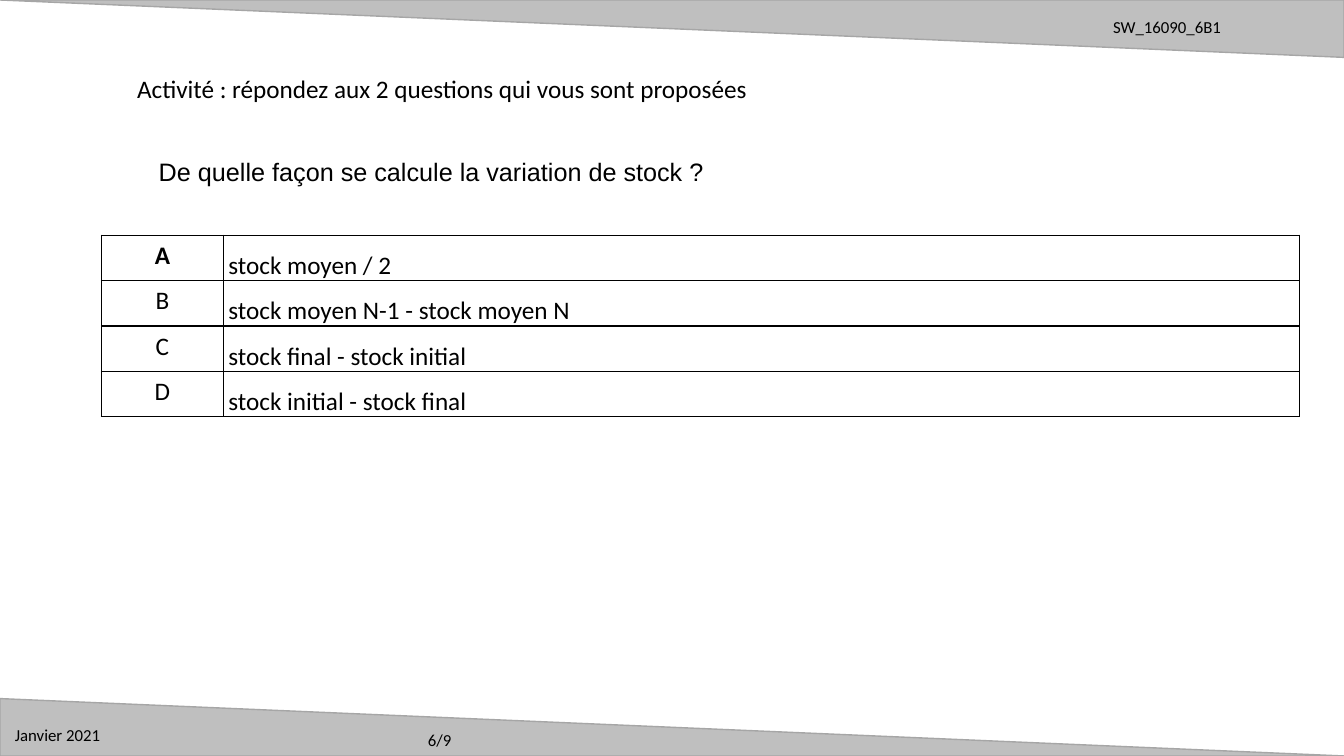
"""Build a quiz slide about stock variation."""
import pptx
import pptx.dml.color
import pptx.enum.shapes
import pptx.enum.text
import pptx.oxml
import pptx.oxml.ns
import pptx.util

Pt = pptx.util.Pt
RGBColor = pptx.dml.color.RGBColor
PP_ALIGN = pptx.enum.text.PP_ALIGN

BLACK = RGBColor(0x00, 0x00, 0x00)
WHITE = RGBColor(0xFF, 0xFF, 0xFF)
BAND_FILL = RGBColor(0xBF, 0xBF, 0xBF)
BAND_LINE = RGBColor(0xA6, 0xA6, 0xA6)

SLIDE_W, SLIDE_H = 960, 540
BAND_H = 41
ROW_H = 29.5
ANSWERS = (
    ("A", "stock moyen / 2"),
    ("B", "stock moyen N-1 - stock moyen N"),
    ("C", "stock final - stock initial"),
    ("D", "stock initial - stock final"),
)


def set_font(p, size, name="Calibri", bold=False):
    p.font.size = Pt(size)
    p.font.name = name
    p.font.bold = bold
    p.font.color.rgb = BLACK


def add_band(slide, top, rotation=0):
    sp = slide.shapes.add_shape(
        pptx.enum.shapes.MSO_SHAPE.ISOSCELES_TRIANGLE,
        0, Pt(top), Pt(SLIDE_W), Pt(BAND_H))
    sp.adjustments[0] = 0
    sp.rotation = rotation
    sp.shadow.inherit = False
    sp.fill.solid()
    sp.fill.fore_color.rgb = BAND_FILL
    sp.line.color.rgb = BAND_LINE
    sp.line.width = Pt(1)


def add_label(slide, text, left, top, width, height, size=12, name="Calibri"):
    sp = slide.shapes.add_textbox(Pt(left), Pt(top), Pt(width), Pt(height))
    tf = sp.text_frame
    tf.word_wrap = True
    p = tf.paragraphs[0]
    p.text = text
    set_font(p, size, name)


def set_title(slide, text):
    sp = slide.shapes.title
    sp.left, sp.top, sp.width, sp.height = Pt(90.7), Pt(48.5), Pt(602), Pt(29)
    tf = sp.text_frame
    tf.vertical_anchor = pptx.enum.text.MSO_ANCHOR.TOP
    p = tf.paragraphs[0]
    p.text = text
    p.alignment = PP_ALIGN.LEFT
    set_font(p, 18)


def style_cell(cell):
    tc_pr = cell._tc.get_or_add_tcPr()
    for side in ("lnL", "lnR", "lnT", "lnB"):
        tc_pr.append(pptx.oxml.parse_xml(
            f'<a:{side} {pptx.oxml.ns.nsdecls("a")} w="{Pt(1)}"><a:solidFill>'
            f'<a:srgbClr val="{BLACK}"/></a:solidFill></a:{side}>'))
    cell.fill.solid()
    cell.fill.fore_color.rgb = WHITE


def add_answers(slide, left, top, widths):
    table = slide.shapes.add_table(
        len(ANSWERS), len(widths), Pt(left), Pt(top),
        Pt(sum(widths)), Pt(ROW_H * len(ANSWERS))).table
    table.first_row = table.horz_banding = False
    for column, width in zip(table.columns, widths):
        column.width = Pt(width)
    for i, texts in enumerate(ANSWERS):
        table.rows[i].height = Pt(ROW_H)
        for j, text in enumerate(texts):
            cell = table.cell(i, j)
            style_cell(cell)
            p = cell.text_frame.paragraphs[0]
            p.text = text
            set_font(p, 18, bold=(i == j == 0))
            if j == 0:
                p.alignment = PP_ALIGN.CENTER
            else:
                cell.margin_left = cell.margin_right = Pt(3.6)
                cell.margin_top = cell.margin_bottom = 0
                p.line_spacing = 1.5
                p.space_before = p.space_after = Pt(6)


def main():
    prs = pptx.Presentation()
    prs.slide_width, prs.slide_height = Pt(SLIDE_W), Pt(SLIDE_H)
    slide = prs.slides.add_slide(prs.slide_layouts[5])
    add_band(slide, 0, rotation=180)
    add_band(slide, SLIDE_H - BAND_H)
    add_label(slide, "6/9", 298.5, 517.5, 60, 21.6)
    add_label(slide, "SW_16090_6B1", 788, 8.5, 169, 21.6)
    add_label(slide, "Janvier 2021", 3.5, 514.3, 99.5, 21.6)
    add_label(slide, "De quelle façon se calcule la variation de stock ?",
              106.3, 108.3, 408, 29, 18, "Arial")
    add_answers(slide, 72.5, 168, (87, 769))
    set_title(slide, "Activité : répondez aux 2 questions qui vous sont proposées")
    prs.save("out.pptx")


if __name__ == "__main__":
    main()
